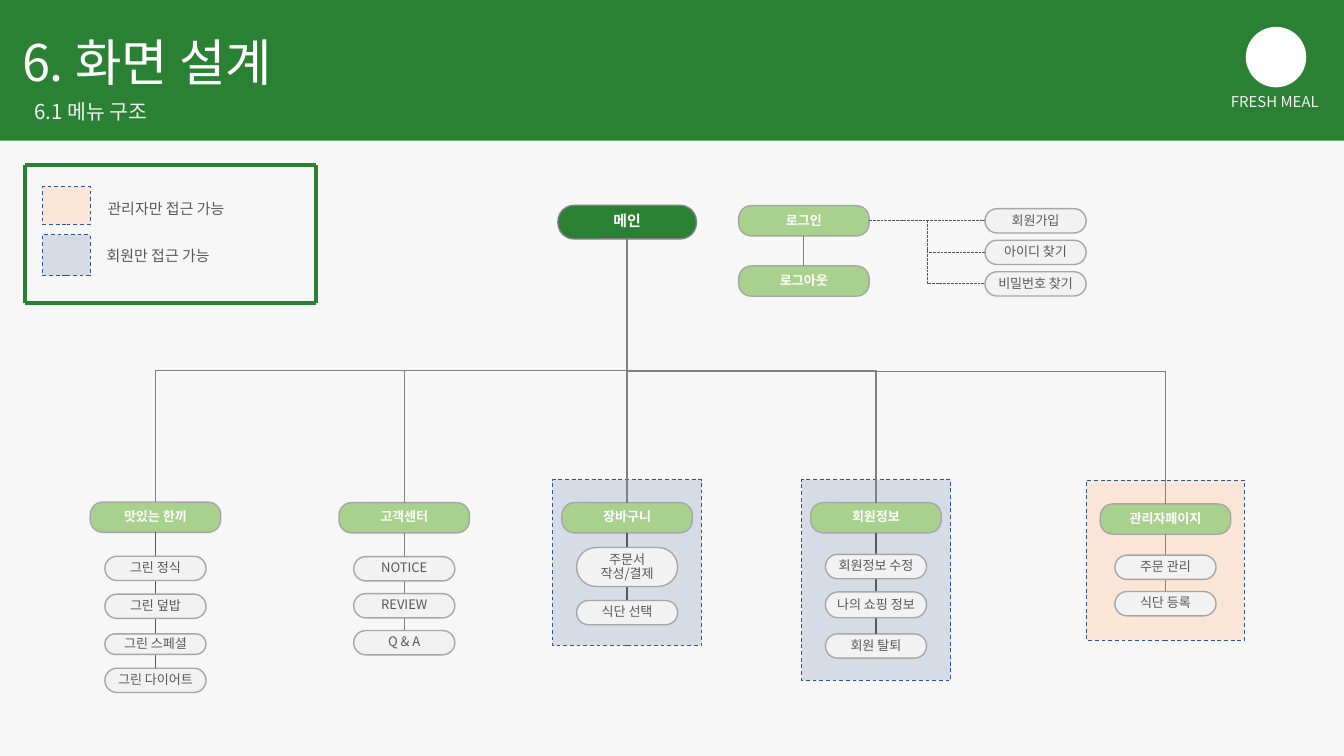
"""Build the menu structure slide of a meal ordering site."""
from lxml.etree import SubElement
from pptx import Presentation
from pptx.dml.color import RGBColor
from pptx.enum.dml import MSO_LINE as Dash
from pptx.enum.shapes import MSO_CONNECTOR as Link, MSO_SHAPE as Shape
from pptx.enum.text import MSO_ANCHOR as Anchor, MSO_AUTO_SIZE as Fit, PP_ALIGN as Align
from pptx.oxml.ns import qn
from pptx.util import Pt

FONT = "Noto Sans CJK KR"
COLORS = {
    "paper": "F7F7F7", "green": "2A8033", "leaf": "A9D18E", "white": "FFFFFF",
    "pale": "F2F2F2", "text": "595959", "gray": "808080", "edge": "A6A6A6",
    "member": "D6DCE5", "admin": "FBE5D6", "navy": "325491",
}
HEADER_W, HEADER_H = 69.9, 16.2
PILL_W, PILL_H = 54.2, 13
MAIN_X = 336

PANELS = [
    ("member", 296, 257, 80, 89),
    ("admin", 582, 257.3, 84.7, 85.7),
    ("member", 429.5, 257, 80, 107.5),
    ("admin", 22.8, 99.9, 25.5, 20.3),
    ("member", 22.8, 125.7, 25.5, 22),
]
MENUS = [
    ("맛있는 한끼", 83.3, 269, "text",
     [("그린 정식", 298, PILL_H), ("그린 덮밥", 318.3, PILL_H),
      ("그린 스페셜", 339.6, 11), ("그린 다이어트", 358, PILL_H)]),
    ("고객센터", 216.6, 269.3, "gray",
     [("NOTICE", 298.2, PILL_H), ("REVIEW", 318, PILL_H), ("Q & A", 337.8, PILL_H)]),
    ("장바구니", MAIN_X, 269.3, "text",
     [("주문서\n작성/결제", 293.3, 20.9), ("식단 선택", 321.7, PILL_H)]),
    ("회원정보", 469.3, 269.3, "text",
     [("회원정보 수정", 297, PILL_H), ("나의 쇼핑 정보", 317.1, 13.9),
      ("회원 탈퇴", 339.6, PILL_H)]),
    ("관리자페이지", 624.4, 270, "gray",
     [("주문 관리", 297.4, PILL_H), ("식단 등록", 316.9, PILL_H)]),
]
LOGIN_LINKS = ["회원가입", "아이디 찾기", "비밀번호 찾기"]


def color(name):
    return RGBColor.from_string(COLORS[name])


def style_line(line, name, width, dash=None):
    line.color.rgb = color(name)
    line.width = Pt(width)
    if dash:
        line.dash_style = dash


def write(frame, text, size, ink, bold=False, align=Align.LEFT, spacing=None):
    for index, words in enumerate(text.split("\n")):
        para = frame.add_paragraph() if index else frame.paragraphs[0]
        para.text = words
        para.alignment = align
        if spacing:
            para.line_spacing = spacing
        para.font.name = FONT
        para.font.size = Pt(size)
        para.font.bold = bold
        para.font.color.rgb = color(ink)
        defaults = para._p.pPr.find(qn("a:defRPr"))
        SubElement(defaults, qn("a:ea"), typeface=FONT)


def add_label(page, text, left, top, width, height, size, ink,
              align=Align.LEFT, wrap=True):
    box = page.shapes.add_textbox(Pt(left), Pt(top), Pt(width), Pt(height))
    frame = box.text_frame
    frame.word_wrap = wrap
    frame.auto_size = Fit.SHAPE_TO_FIT_TEXT
    frame.margin_left = frame.margin_right = Pt(5.3)
    frame.margin_top = frame.margin_bottom = Pt(2.7)
    write(frame, text, size, ink, align=align)


def add_block(page, kind, fill, left, top, width, height):
    shape = page.shapes.add_shape(kind, Pt(left), Pt(top), Pt(width), Pt(height))
    shape.shadow.inherit = False
    shape.fill.solid()
    shape.fill.fore_color.rgb = color(fill)
    shape.line.fill.background()
    return shape


def add_panel(page, fill, left, top, width, height):
    panel = add_block(page, Shape.RECTANGLE, fill, left, top, width, height)
    style_line(panel.line, "navy", 0.5, Dash.DASH)


def add_node(page, text, center, top, width, height, fill, edge, ink,
             size=7, bold=False, rounding=0.5):
    node = add_block(page, Shape.ROUNDED_RECTANGLE, fill,
                     center - width / 2, top, width, height)
    node.adjustments[0] = rounding
    style_line(node.line, edge, 0.75)
    frame = node.text_frame
    frame.word_wrap = True
    frame.vertical_anchor = Anchor.MIDDLE
    frame.margin_left = frame.margin_right = Pt(0.7)
    frame.margin_top = frame.margin_bottom = Pt(0.7)
    write(frame, text, size, ink, bold, Align.CENTER, 0.9)
    return node


def add_header(page, text, center, top):
    return add_node(page, text, center, top, HEADER_W, HEADER_H,
                    "leaf", "edge", "white", bold=True, rounding=0.417)


def add_pill(page, text, center, top, height=PILL_H):
    return add_node(page, text, center, top, PILL_W, height, "pale", "edge", "text")


def add_line(page, start, end, ink, width, kind=Link.STRAIGHT, dash=None):
    line = page.shapes.add_connector(kind, *(Pt(value) for value in (*start, *end)))
    style_line(line.line, ink, width, dash)
    SubElement(line._element.spPr, qn("a:effectLst"))
    return line


def join_down(page, upper, lower, ink, width=0.75):
    line = add_line(page, (0, 0), (0, 0), ink, width)
    line.begin_connect(upper, 2)
    line.end_connect(lower, 0)


def add_branch(page, start, end):
    """Draw an elbow that leaves downwards, as a turned sideways elbow."""
    (x1, y1), (x2, y2) = start, end
    mid_x, mid_y = (x1 + x2) / 2, (y1 + y2) / 2
    half_w, half_h = (y2 - y1) / 2, abs(x2 - x1) / 2
    if x2 > x1:
        half_w, turn = -half_w, 270
    else:
        turn = 90
    branch = add_line(page, (mid_x - half_w, mid_y - half_h),
                      (mid_x + half_w, mid_y + half_h), "gray", 0.75, Link.ELBOW)
    branch._element.spPr.find(qn("a:xfrm")).set("rot", str(turn * 60000))


def add_menu(page, main, title, center, top, ink, items):
    header = add_header(page, title, center, top)
    last_text, last_top, last_height = items[-1]
    last = add_pill(page, last_text, center, last_top, last_height)
    join_down(page, header, last, ink)
    for text, pill_top, height in items[:-1]:
        add_pill(page, text, center, pill_top, height)
    if center == MAIN_X:
        join_down(page, main, header, "gray")
    else:
        add_branch(page, (MAIN_X, 128), (center, top))


def add_login(page):
    center, top = 430.7, 110.2
    login = add_header(page, "로그인", center, top)
    logout = add_header(page, "로그아웃", center, 142.5)
    join_down(page, login, logout, "gray", 0.5)
    start = (center + HEADER_W / 2, top + HEADER_H / 2)
    for index, text in enumerate(LOGIN_LINKS):
        middle = start[1] + 16.9 * index
        add_pill(page, text, 554.8, middle - PILL_H / 2)
        add_line(page, start, (554.8 - PILL_W / 2, middle), "text", 0.5,
                 Link.ELBOW, Dash.SQUARE_DOT)


def add_banner(page):
    add_block(page, Shape.RECTANGLE, "green", 0, 0, 720, 75.4)
    add_label(page, "6. 화면 설계", 6.5, 13.7, 325.4, 38, 27, "white")
    add_label(page, "6.1 메뉴 구조", 13, 50.4, 283, 18.7, 11, "pale")
    add_block(page, Shape.OVAL, "white", 667.4, 14.4, 32.4, 32.4)
    add_label(page, "FRESH MEAL", 596.2, 46.8, 173.5, 15.1, 8, "pale", Align.CENTER)


def add_legend(page):
    add_label(page, "관리자만 접근 가능", 52.3, 104.4, 80.6, 15.1, 8, "text", wrap=False)
    add_label(page, "회원만 접근 가능", 51.8, 129.3, 72.7, 15.1, 8, "text", wrap=False)
    left, top, right, bottom = 13.2, 88.6, 169.4, 162.4
    corners = [(left, top), (right, top), (right, bottom), (left, bottom)]
    for start, end in zip(corners, corners[1:] + corners[:1]):
        add_line(page, start, end, "green", 2.25)


def main():
    deck = Presentation()
    deck.slide_width, deck.slide_height = Pt(720), Pt(405)
    page = deck.slides.add_slide(deck.slide_layouts[6])
    page.background.fill.solid()
    page.background.fill.fore_color.rgb = color("paper")
    add_banner(page)
    for panel in PANELS:
        add_panel(page, *panel)
    add_legend(page)
    root = add_node(page, "메인", MAIN_X, 110, 74.2, 18, "green", "gray", "white",
                    size=8, bold=True, rounding=0.479)
    for menu in MENUS:
        add_menu(page, root, *menu)
    add_login(page)
    deck.save("out.pptx")


if __name__ == "__main__":
    main()
